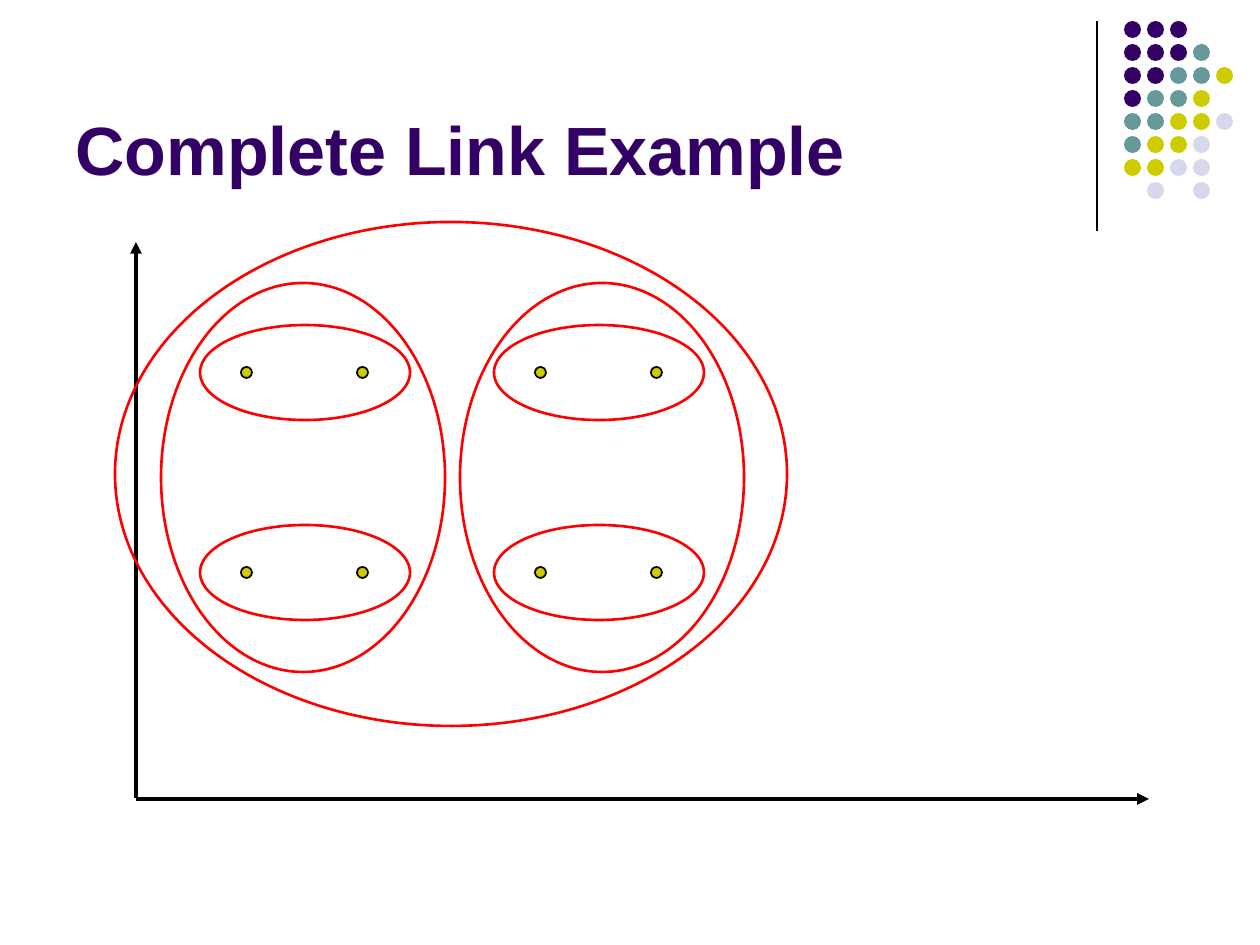
from pptx import Presentation
from pptx.dml.color import RGBColor
from pptx.enum.shapes import MSO_CONNECTOR as CONNECTOR, MSO_SHAPE as SHAPE
from pptx.enum.text import MSO_ANCHOR as ANCHOR
from pptx.oxml.ns import qn
from pptx.util import Pt
from lxml.etree import SubElement

PX = 914400 / 126
COLORS = {
    "purple": "330066",
    "teal": "669999",
    "olive": "CCCC00",
    "lavender": "D8D8EC",
    "black": "000000",
    "red": "FF0000",
}

presentation = Presentation()
presentation.slide_width = round(1260 * PX)
presentation.slide_height = round(945 * PX)
slide = presentation.slides.add_slide(presentation.slide_layouts[6])


def add_ellipse(left, top, width, height, fill=None, line=None, weight=1):
    box = [round(value * PX) for value in (left, top, width, height)]
    shape = slide.shapes.add_shape(SHAPE.OVAL, *box)
    shape.shadow.inherit = False
    if fill:
        shape.fill.solid()
        shape.fill.fore_color.rgb = RGBColor.from_string(COLORS[fill])
    else:
        shape.fill.background()
    if line:
        shape.line.color.rgb = RGBColor.from_string(COLORS[line])
        shape.line.width = Pt(weight)
    else:
        shape.line.fill.background()


def add_line(x1, y1, x2, y2, weight, arrow=False):
    ends = [round(value * PX) for value in (x1, y1, x2, y2)]
    connector = slide.shapes.add_connector(CONNECTOR.STRAIGHT, *ends)
    connector.line.color.rgb = RGBColor.from_string(COLORS["black"])
    connector.line.width = Pt(weight)
    if arrow:
        SubElement(connector.line._get_or_add_ln(), qn("a:tailEnd"), type="triangle")
    SubElement(connector._element.spPr, qn("a:effectLst"))


add_line(1097, 21, 1097, 231, 0.75)

DOT_COLORS = {"P": "purple", "T": "teal", "O": "olive", "L": "lavender"}
DOT_ROWS = ["PPP", "PPPT", "PPTTO", "PTTO", "TTOOL", "TOOL", "OOLL", " L L"]
for row, letters in enumerate(DOT_ROWS):
    for column, letter in enumerate(letters):
        if letter in DOT_COLORS:
            add_ellipse(1124 + 23 * column, 21 + 23 * row, 17, 17, DOT_COLORS[letter])

title = slide.shapes.add_textbox(*[round(value * PX) for value in (63, 16, 1040, 179)])
text_frame = title.text_frame
text_frame.word_wrap = True
text_frame.vertical_anchor = ANCHOR.BOTTOM
text_frame.text = "Complete Link Example"
font = text_frame.paragraphs[0].runs[0].font
font.name = "Arial"
font.size = Pt(39)
font.bold = True
font.color.rgb = RGBColor.from_string(COLORS["purple"])

add_line(136, 798, 136, 242, 2.25, arrow=True)
add_line(136, 799, 1149, 799, 2.25, arrow=True)

PAIR_OFFSETS = [(0, 0), (0, 200), (294, 0), (294, 200)]
for dx, dy in PAIR_OFFSETS:
    for point_left in (241, 357):
        add_ellipse(point_left + dx, 367 + dy, 11, 11, "olive", "black")

for dx, dy in PAIR_OFFSETS:
    add_ellipse(200 + dx, 325 + dy, 210, 95, line="red", weight=1.5)
for cluster_left in (161, 460):
    add_ellipse(cluster_left, 283, 284, 389, line="red", weight=1.5)
add_ellipse(115, 222, 672, 504, line="red", weight=1.5)

presentation.save("out.pptx")
